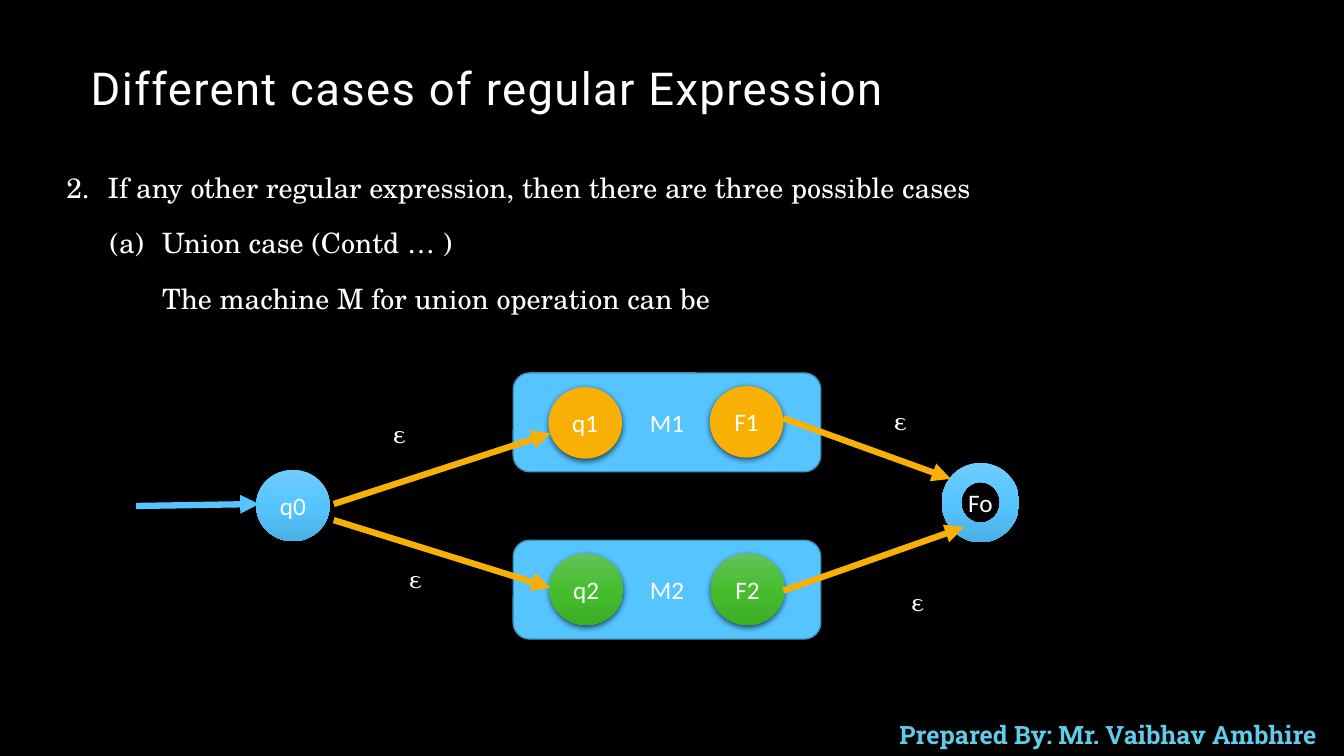
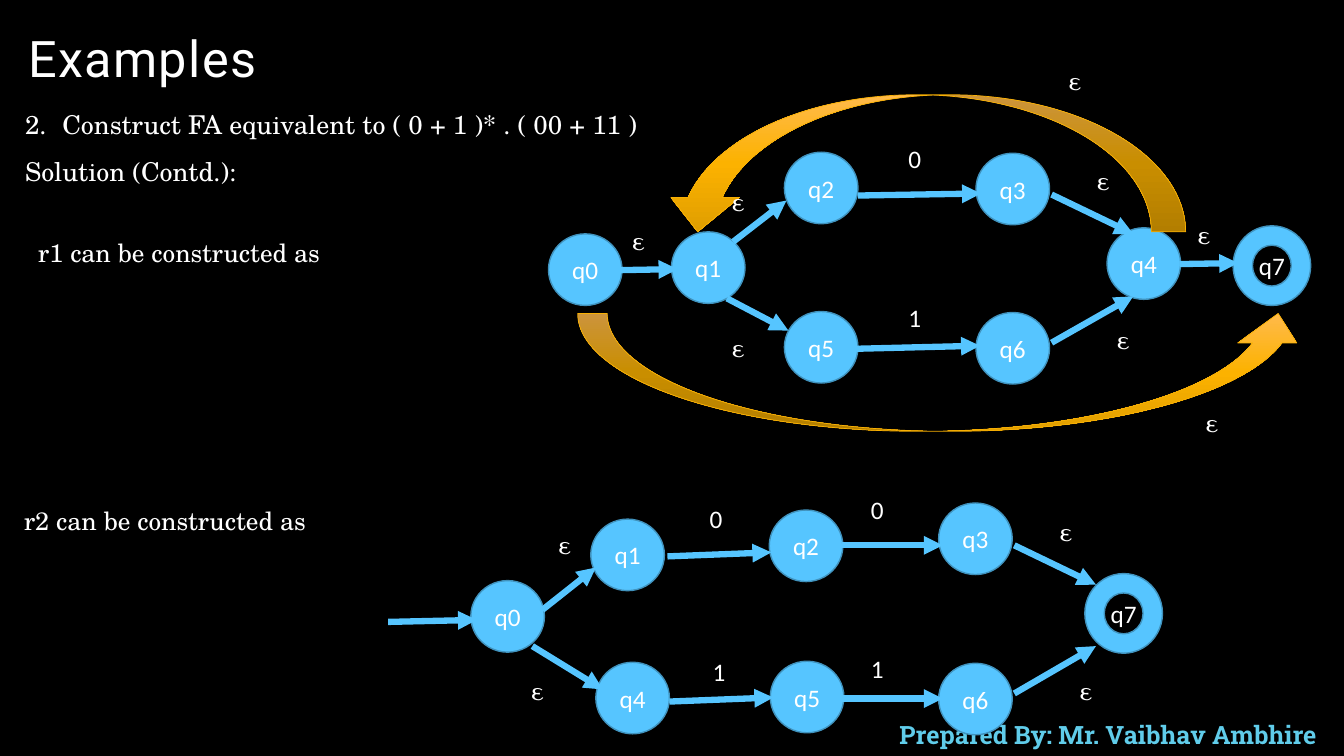
from typing import NamedTuple

from pptx import Presentation
from pptx.dml.color import RGBColor
from pptx.enum.shapes import MSO_CONNECTOR, MSO_SHAPE
from pptx.enum.text import MSO_ANCHOR, MSO_AUTO_SIZE, PP_ALIGN
from pptx.oxml import parse_xml
from pptx.oxml.ns import nsdecls, qn
from pptx.util import Emu, Pt

PX = 9144  # 100 px to the inch
BLACK, WHITE, BLUE, BLUE_EDGE = "000000", "FFFFFF", "56C5FF", "4092BD"
ORANGE, FOOTER_BLUE = "F8B004", "60CCEA"
BLUE_SHADES = ("70CBFF", "56C5FF", "4AB0E5")
GREEN_SHADES = ("64C258", "47BE30", "3BAF24")
ORANGE_SHADES = ("FFBA4B", "FCB200", "E09E00")
SERIF, SANS, TITLE_FONT, FOOTER_FONT = "TeX Gyre Schola", "Calibri", "Roboto", "Roboto Slab"

FLAT = {"fill": BLUE, "edge": BLUE_EDGE}
GLOSSY_BLUE = {"fill": BLUE_SHADES, "shadow": True}
GLOSSY_GREEN = {"fill": GREEN_SHADES, "shadow": True}
RAISED_ORANGE = {"fill": ORANGE, "shadow": True}
SWEEP = {"fill": ORANGE_SHADES, "edge": ORANGE, "edge_width": 0.5}
STATE_SIZE, FINAL_SIZE, BLOCK_SIZE = (73, 71), (77, 79), (305, 98)


class Box(NamedTuple):
    left: int
    top: int
    width: int
    height: int

    def inner(self, left, top, width, height):
        return Box(self.left + left, self.top + top, width, height)

    def emu(self):
        return [px(value) for value in self]


def px(value):
    return Emu(value * PX)


def rgb(color):
    return RGBColor.from_string(color)


def set_values(target, values):
    for name, value in values.items():
        setattr(target, name, value)


# Text
def add_text(paragraph, text, size, font, color=WHITE, bold=False, **layout):
    set_values(paragraph, layout)
    run = paragraph.add_run()
    run.text = text
    set_values(run.font, {"size": Pt(size), "name": font, "bold": bold})
    run.font.color.rgb = rgb(color)
    return run


def add_text_box(slide, box):
    frame = slide.shapes.add_textbox(*box.emu()).text_frame
    frame.word_wrap = True
    return frame


def add_line_of_text(slide, box, text, size=18, font=SERIF, **style):
    add_text(add_text_box(slide, box).paragraphs[0], text, size, font, **style)


def set_numbering(paragraph, margin, hanging, scheme, start):
    """Indent the paragraph and, with a scheme, hang a number in the indent."""
    properties = paragraph._p.get_or_add_pPr()
    properties.set("marL", str(px(margin)))
    properties.set("indent", str(-px(hanging)))
    if scheme:
        for part in (f'<a:buClr {nsdecls("a")}><a:srgbClr val="{WHITE}"/></a:buClr>',
                     f'<a:buFont {nsdecls("a")} typeface="{SERIF}"/>',
                     f'<a:buAutoNum {nsdecls("a")} type="{scheme}" startAt="{start}"/>'):
            properties.append(parse_xml(part))


def add_body(slide, box, lines, size, spacing):
    """Each line: text, level, margin, hanging, numbering scheme, start."""
    frame = add_text_box(slide, box)
    for index, (text, level, *numbering) in enumerate(lines):
        paragraph = frame.add_paragraph() if index else frame.paragraphs[0]
        add_text(paragraph, text, size, SERIF, level=level,
                 line_spacing=spacing, space_before=Pt(18))
        set_numbering(paragraph, *numbering)


# Shapes
def add_gradient(shape, shades):
    stops = "".join(f'<a:gs pos="{index * 50000}"><a:srgbClr val="{shade}"/></a:gs>'
                    for index, shade in enumerate(shades))
    gradient = parse_xml(f'<a:gradFill {nsdecls("a")} rotWithShape="1"><a:gsLst>{stops}</a:gsLst>'
                         '<a:lin ang="5400000" scaled="0"/></a:gradFill>')
    shape._element.spPr.find(qn("a:prstGeom")).addnext(gradient)


def add_shadow(shape):
    shape._element.spPr.find(qn("a:effectLst")).append(parse_xml(
        f'<a:outerShdw {nsdecls("a")} blurRad="{Pt(4.5)}" dist="{Pt(1.5)}" dir="5400000" '
        f'algn="ctr" rotWithShape="0"><a:srgbClr val="{BLACK}">'
        '<a:alpha val="63000"/></a:srgbClr></a:outerShdw>'))


def add_figure(slide, kind, box, text="", fill=BLUE, edge=None, edge_width=1, shadow=False):
    shape = slide.shapes.add_shape(kind, *box.emu())
    shape.shadow.inherit = False
    if edge:
        shape.line.color.rgb = rgb(edge)
        shape.line.width = Pt(edge_width)
    else:
        shape.line.fill.background()
    if isinstance(fill, tuple):
        add_gradient(shape, fill)
    else:
        shape.fill.solid()
        shape.fill.fore_color.rgb = rgb(fill)
    if shadow:
        add_shadow(shape)
    if text:
        shape.text_frame.vertical_anchor = MSO_ANCHOR.MIDDLE
        add_text(shape.text_frame.paragraphs[0], text, 18, SANS, alignment=PP_ALIGN.CENTER)
    return shape


def add_arrow(slide, box, start_x, start_y, end_x, end_y, color=BLUE):
    ends = (box.left + start_x, box.top + start_y, box.left + end_x, box.top + end_y)
    connector = slide.shapes.add_connector(MSO_CONNECTOR.STRAIGHT, *map(px, ends))
    connector.line.color.rgb = rgb(color)
    connector.line.width = Pt(4.5)
    properties = connector._element.spPr
    properties.find(qn("a:ln")).append(parse_xml(f'<a:tailEnd {nsdecls("a")} type="triangle"/>'))
    properties.append(parse_xml(f'<a:effectLst {nsdecls("a")}/>'))


# Automaton diagram pieces, all relative to the diagram box
def add_states(slide, box, states, style):
    for name, left, top in states:
        add_figure(slide, MSO_SHAPE.OVAL, box.inner(left, top, *STATE_SIZE), name, **style)


def add_final_state(slide, box, name, left, top, style):
    add_figure(slide, MSO_SHAPE.DONUT, box.inner(left, top, *FINAL_SIZE), name, **style)


def add_arrows(slide, box, arrows, color=BLUE):
    for arrow in arrows:
        add_arrow(slide, box, *arrow, color=color)


def add_labels(slide, box, labels):
    for symbol, places in labels.items():
        font = SANS if symbol.isdigit() else SERIF
        for left, top in places:
            add_line_of_text(slide, box.inner(left, top, 42, 42), symbol, font=font)


def draw_union_machine(slide, box):
    for name, top in (("M1", 0), ("M2", 166)):
        add_figure(slide, MSO_SHAPE.ROUNDED_RECTANGLE,
                   box.inner(374, top, *BLOCK_SIZE), name, **FLAT)
    add_states(slide, box, [("q0", 119, 96)], GLOSSY_BLUE)
    add_states(slide, box, [("q1", 409, 14), ("F1", 569, 13)], RAISED_ORANGE)
    add_states(slide, box, [("q2", 410, 179), ("F2", 570, 179)], GLOSSY_GREEN)
    add_final_state(slide, box, "Fo", 799, 89, GLOSSY_BLUE)
    add_arrows(slide, box, [(0, 132, 122, 130)])
    add_arrows(slide, box, [(196, 130, 411, 60), (196, 146, 411, 213),
                            (642, 45, 808, 105), (642, 216, 821, 153)], ORANGE)
    add_labels(slide, box, {"ε": [(245, 40), (742, 27), (261, 184), (759, 207)]})


def draw_star_machine(slide, box):
    add_states(slide, box, [("q0", 0, 172), ("q1", 122, 170), ("q2", 234, 91),
                            ("q3", 424, 92), ("q4", 554, 166), ("q5", 234, 249),
                            ("q6", 424, 250)], FLAT)
    add_final_state(slide, box, "q7", 679, 164, FLAT)
    add_arrows(slide, box, [(71, 208, 128, 207), (183, 180, 236, 139), (177, 236, 238, 268),
                            (307, 134, 429, 132), (306, 286, 428, 283), (499, 133, 580, 172),
                            (499, 280, 580, 234), (626, 202, 684, 201)])
    # Loop back to q1 and bypass to q7
    loop = add_figure(slide, MSO_SHAPE.CURVED_DOWN_ARROW, box.inner(114, 34, 518, 136), **SWEEP)
    loop._element.spPr.find(qn("a:xfrm")).set("flipH", "1")
    add_figure(slide, MSO_SHAPE.CURVED_UP_ARROW, box.inner(29, 251, 724, 117), **SWEEP)
    add_labels(slide, box, {
        "0": [(347, 77)],
        "1": [(347, 235)],
        "ε": [(73, 159), (172, 120), (172, 265), (534, 99), (554, 257),
              (634, 153), (642, 339), (506, 0)],
    })


def draw_pairs_machine(slide, box):
    add_states(slide, box, [("q0", 82, 91), ("q1", 201, 30), ("q2", 378, 21),
                            ("q3", 546, 14), ("q4", 206, 172), ("q5", 379, 171),
                            ("q6", 546, 173)], FLAT)
    add_final_state(slide, box, "q7", 691, 84, FLAT)
    add_arrows(slide, box, [(0, 132, 88, 130), (153, 120, 206, 78), (143, 156, 213, 199),
                            (277, 67, 380, 63), (279, 211, 382, 207), (450, 56, 550, 56),
                            (450, 208, 550, 208), (621, 56, 702, 95), (621, 203, 702, 156)])
    add_labels(slide, box, {
        "0": [(309, 9), (469, 0)],
        "1": [(312, 161), (469, 158)],
        "ε": [(159, 35), (132, 180), (656, 22), (676, 180)],
    })


# Slides
def add_titled_slide(presentation, title, box, size):
    slide = presentation.slides.add_slide(presentation.slide_layouts[5])
    placeholder = slide.shapes.title
    set_values(placeholder, dict(zip(("left", "top", "width", "height"), box.emu())))
    frame = placeholder.text_frame
    set_values(frame, {"vertical_anchor": MSO_ANCHOR.BOTTOM, "word_wrap": True,
                       "auto_size": MSO_AUTO_SIZE.NONE})
    run = add_text(frame.paragraphs[0], title, size, TITLE_FONT,
                   alignment=PP_ALIGN.LEFT, line_spacing=0.9)
    run._r.get_or_add_rPr().set("spc", "100")
    add_line_of_text(slide, Box(864, 709, 470, 40), "Prepared By: Mr. Vaibhav Ambhire",
                     font=FOOTER_FONT, color=FOOTER_BLUE, bold=True, alignment=PP_ALIGN.CENTER)
    return slide


def build_union_slide(presentation):
    slide = add_titled_slide(presentation, "Different cases of regular Expression",
                             Box(80, 40, 1044, 79), 32.4)
    add_body(slide, Box(56, 168, 1134, 169), [
        ("If any other regular expression, then there are three possible cases",
         0, 41, 41, "arabicPeriod", 2),
        ("Union case (Contd … )", 1, 95, 52, "alphaLcParenBoth", 1),
        ("The machine M for union operation can be", 1, 95, 0, None, None),
    ], size=20, spacing=0.9)
    draw_union_machine(slide, Box(135, 370, 876, 264))


def build_example_slide(presentation):
    slide = add_titled_slide(presentation, "Examples", Box(18, 14, 1044, 79), 36)
    add_body(slide, Box(15, 111, 666, 84), [
        ("Construct FA equivalent to ( 0 + 1 )* . ( 00 + 11 )", 0, 37, 37, "arabicPeriod", 2),
        ("Solution (Contd.):", 0, 0, 0, None, None),
    ], size=18.5, spacing=0.7)
    add_line_of_text(slide, Box(28, 231, 314, 40), "r1 can be constructed as")
    draw_star_machine(slide, Box(544, 60, 756, 381))
    add_line_of_text(slide, Box(14, 496, 314, 40), "r2 can be constructed as")
    draw_pairs_machine(slide, Box(385, 485, 768, 244))


def main():
    presentation = Presentation()
    set_values(presentation, {"slide_width": px(1333), "slide_height": px(750)})
    background = presentation.slide_master.background.fill
    background.solid()
    background.fore_color.rgb = rgb(BLACK)
    build_union_slide(presentation)
    build_example_slide(presentation)
    presentation.save("out.pptx")


if __name__ == "__main__":
    main()
